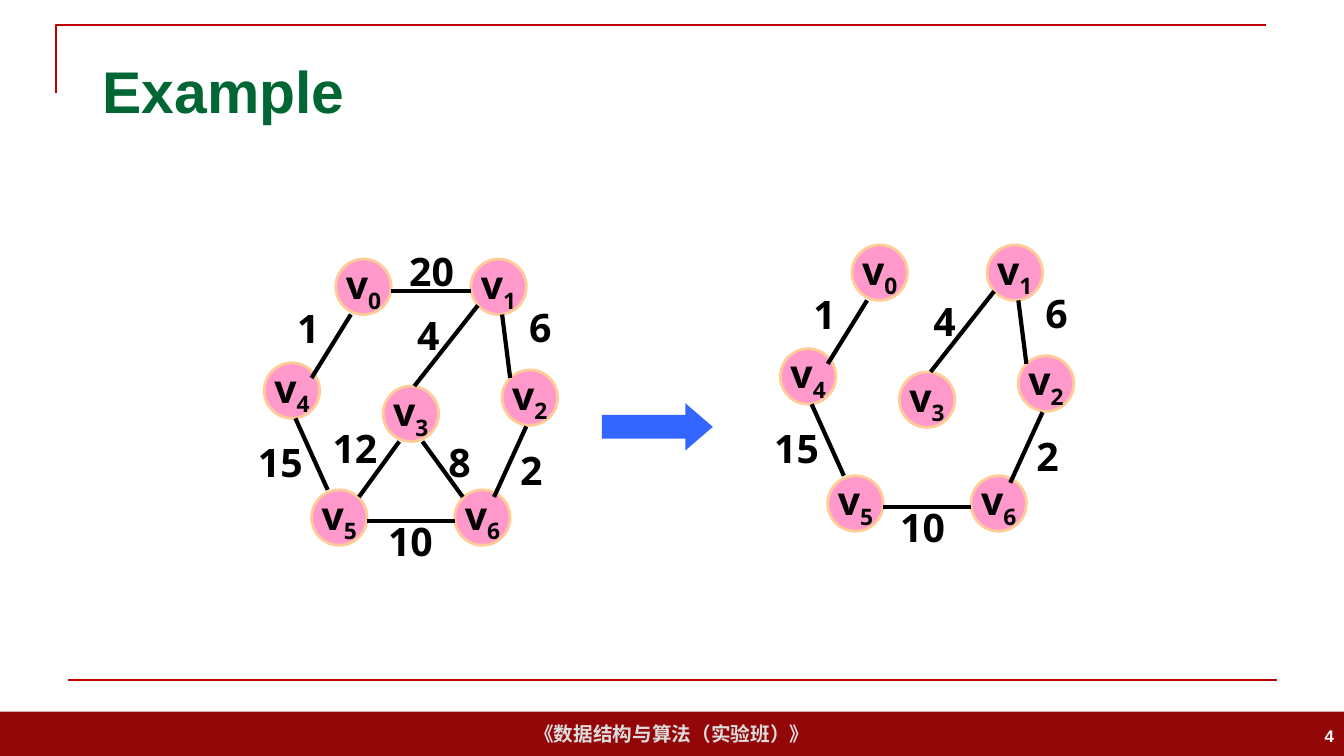
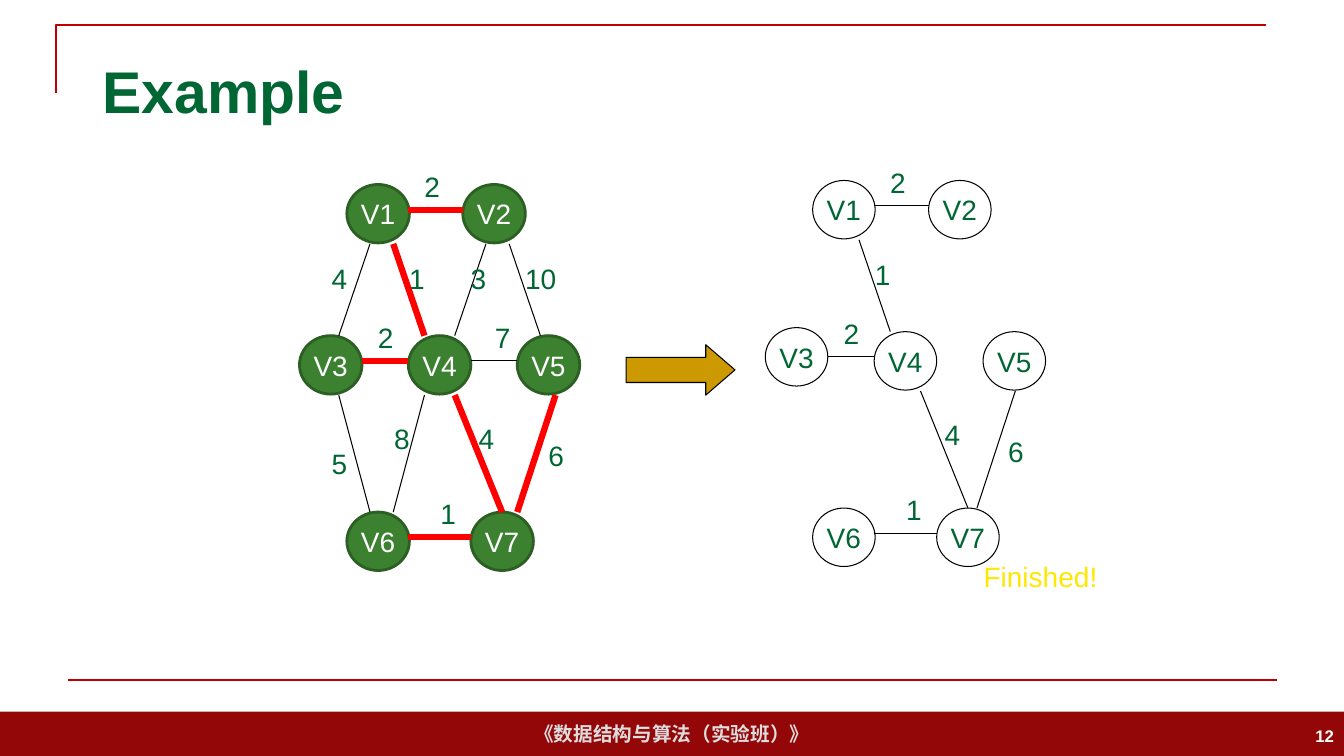
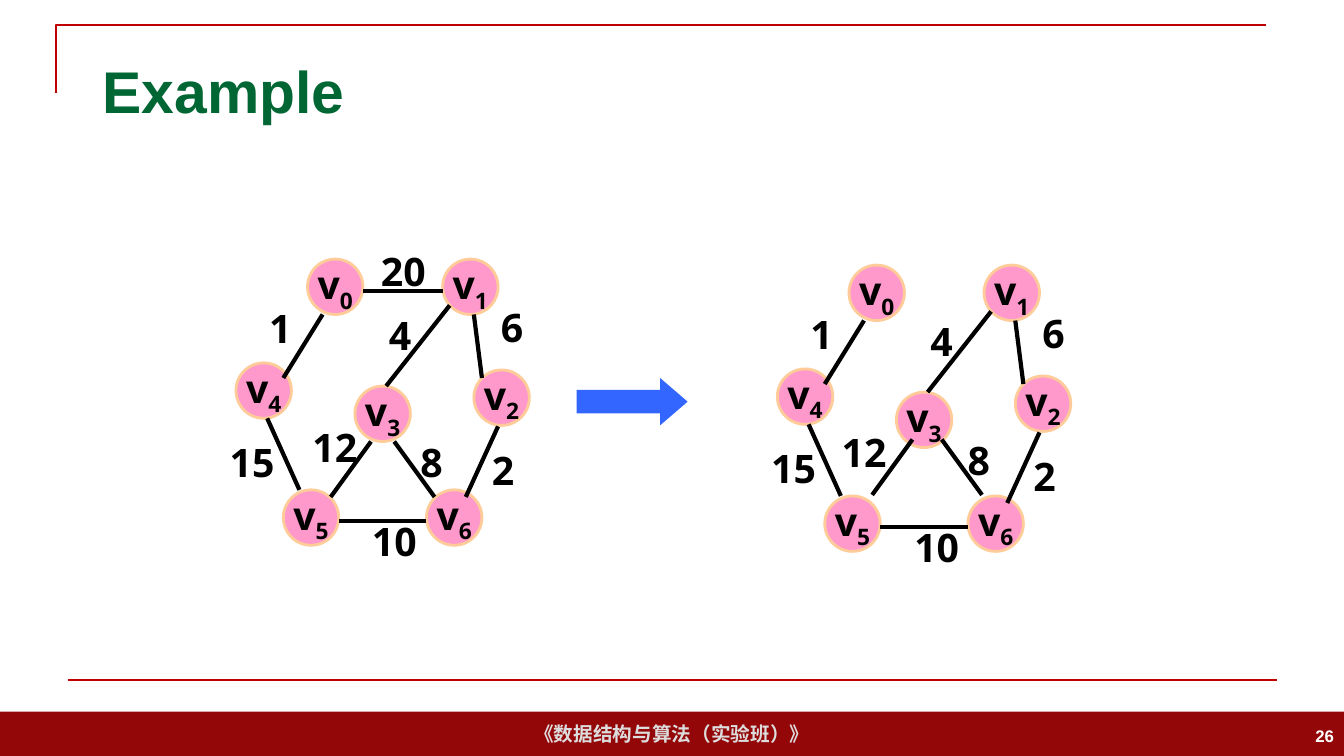
import pptx
import pptx.util
import pptx.dml.color
import pptx.enum.shapes
import pptx.enum.text
import pptx.oxml.ns

WIDE, HIGH = 13.33, 7.5
RED, GREEN, BLACK, WHITE = "C00000", "006633", "000000", "FFFFFF"
FORMS = pptx.enum.shapes.MSO_SHAPE
ALIGN = pptx.enum.text.PP_ALIGN
MIDDLE = pptx.enum.text.MSO_ANCHOR.MIDDLE
FIT = pptx.enum.text.MSO_AUTO_SIZE.SHAPE_TO_FIT_TEXT

PINK = {
    "size": (0.55, 0.55),
    "digit": (0.26, 0.57),
    "nodes": {"0": (0.71, 0), "1": (2.05, 0), "2": (2.36, 1.1), "3": (1.18, 1.26),
              "4": (0, 1.03), "5": (0.47, 2.29), "6": (1.89, 2.29)},
    "edges": {
        "04": (0.86, 0.55, 0.47, 1.18, "1", 0.23, 0.4),
        "12": (2.36, 0.55, 2.44, 1.18, "6", 2.53, 0.39),
        "45": (0.63, 2.29, 0.31, 1.58, "15", -0.16, 1.73),
        "01": (2.05, 0.32, 1.26, 0.32, "20", 1.34, -0.17),
        "26": (2.6, 1.66, 2.28, 2.36, "2", 2.44, 1.81),
        "56": (1.89, 2.6, 1.02, 2.6, "10", 1.13, 2.51),
        "35": (1.34, 1.81, 0.94, 2.36, "12", 0.58, 1.59),
        "36": (1.57, 1.81, 1.97, 2.36, "8", 1.73, 1.73),
        "13": (2.12, 0.46, 1.49, 1.26, "4", 1.42, 0.47),
    },
    "node": {"fill": "FF99CC", "line": "FFCC99", "weight": 2},
    "name": {"lead": "v", "sub": True},
    "font": {"size": 28, "font": "Open Sans", "bold": True},
    "ink": BLACK,
    "weight": 3,
}
OVAL = {
    "size": (0.62, 0.58),
    "digit": (0.17, 0.44),
    "nodes": {"1": (0.47, 0), "2": (1.62, 0), "3": (0, 1.5), "4": (1.08, 1.5),
              "5": (2.16, 1.5), "6": (0.47, 3.25), "7": (1.7, 3.25)},
    "edges": {
        "12": (1.08, 0.25, 1.62, 0.25, "2", 1.14, -0.2),
        "34": (0.62, 1.75, 1.08, 1.75, "2", 0.68, 1.3),
        "45": (1.7, 1.75, 2.16, 1.75, "7", 1.84, 1.3),
        "67": (1.08, 3.5, 1.7, 3.5, "1", 1.3, 3.05),
        "13": (0.39, 1.5, 0.7, 0.59, "4", 0.22, 0.72),
        "25": (2.39, 1.5, 2.08, 0.59, "10", 2.14, 0.72),
        "14": (1.24, 1.5, 0.93, 0.59, "1", 0.99, 0.72),
        "24": (1.54, 1.5, 1.85, 0.59, "3", 1.6, 0.72),
        "46": (1.24, 2.09, 0.93, 3.25, "8", 0.84, 2.3),
        "47": (1.54, 2.09, 2.01, 3.25, "4", 1.68, 2.3),
        "36": (0.39, 2.09, 0.7, 3.25, "5", 0.22, 2.55),
        "57": (2.54, 2.09, 2.16, 3.25, "6", 2.37, 2.47),
    },
    "node": {"line": BLACK, "weight": 0.75},
    "name": {"lead": "V", "sub": False},
    "font": {"size": 20},
    "ink": GREEN,
    "weight": 0.75,
}
LEAF = {**OVAL, "node": {"fill": "3B812F", "line": "2C5F23", "weight": 2}}
TREE = ("12", "34", "67", "14", "47", "57")
CYCLE = ("04", "12", "45", "26", "56", "13")


def inch(*nums):
    return [pptx.util.Inches(num) for num in nums]


def tint(code):
    return pptx.dml.color.RGBColor.from_string(code)


def paint(shape, fill=None, line=None, weight=1):
    shape.shadow.inherit = False
    if fill:
        shape.fill.solid()
        shape.fill.fore_color.rgb = tint(fill)
    else:
        shape.fill.background()
    if line:
        shape.line.color.rgb = tint(line)
        shape.line.width = pptx.util.Pt(weight)
    else:
        shape.line.fill.background()
    return shape


def write(shape, text, size=20, color=BLACK, font="Arial", bold=False,
          align=ALIGN.LEFT, wrap=False, mid=False, fit=False, sub=""):
    frame = shape.text_frame
    frame.word_wrap = wrap
    if mid:
        frame.vertical_anchor = MIDDLE
    if fit:
        frame.auto_size = FIT
    para = frame.paragraphs[0]
    para.alignment = align
    for part in filter(None, (text, sub)):
        run = para.add_run()
        run.text = part
        run.font.size = pptx.util.Pt(size)
        run.font.name = font
        run.font.bold = bold
        run.font.color.rgb = tint(color)
    if sub:
        run.font._element.set("baseline", "-25000")


def box(slide, area, text, **style):
    write(slide.shapes.add_textbox(*inch(*area)), text, **style)


def form(slide, kind, area, **look):
    return paint(slide.shapes.add_shape(kind, *inch(*area)), **look)


def rule(slide, ends, color, weight):
    line = slide.shapes.add_connector(
        pptx.enum.shapes.MSO_CONNECTOR.STRAIGHT, *inch(*ends))
    line.line.color.rgb = tint(color)
    line.line.width = pptx.util.Pt(weight)
    props = line._element.spPr
    props.append(props.makeelement(pptx.oxml.ns.qn("a:effectLst"), {}))


def arrow(slide, area, **look):
    shape = form(slide, FORMS.RIGHT_ARROW, area, **look)
    shape.adjustments[0] = 0.5
    shape.adjustments[1] = 0.58


def page(deck, number):
    slide = deck.slides.add_slide(deck.slide_layouts[6])
    band = form(slide, FORMS.RECTANGLE, (0, HIGH - 0.44, WIDE, 0.44), fill="940709")
    write(band, "《数据结构与算法（实验班）》", size=14, color="DDDDDD", bold=True,
          align=ALIGN.CENTER, mid=True)
    pen = slide.shapes.build_freeform(*inch(0.56, 0.92))
    pen.add_line_segments([inch(0.56, 0.25), inch(12.56, 0.25)], close=False)
    paint(pen.convert_to_shape(), line=RED, weight=1.5)
    rule(slide, (0.67, 6.75, 12.67, 6.75), RED, 1.5)
    box(slide, (0.92, 0.4, 11.5, 0.99), "Example", size=42, color=GREEN,
        bold=True, wrap=True, mid=True)
    box(slide, (WIDE - 3, 7.1, 3, 0.4), str(number), size=12, color=WHITE,
        bold=True, align=ALIGN.RIGHT, wrap=True, mid=True)
    return slide


def graph(slide, kind, left, top, keep=None, marked=(), ink=None, shift=None):
    shift = shift or {}
    lead = kind["name"]["lead"]
    low = kind["name"]["sub"]
    for name, (x, y) in kind["nodes"].items():
        dx, dy = shift.get(name, (0, 0))
        oval = form(slide, FORMS.OVAL, (left + x + dx, top + y + dy, *kind["size"]),
                    **kind["node"])
        write(oval, lead if low else lead + name, sub=name if low else "",
              color=ink or kind["ink"], align=ALIGN.CENTER, mid=True, **kind["font"])
    edges = {key: edge for key, edge in kind["edges"].items() if not keep or key in keep}
    for key, (x1, y1, x2, y2, *_) in edges.items():
        dx, dy = shift.get(key, (0, 0))
        ends = (left + x1 + dx, top + y1 + dy, left + x2 + dx, top + y2 + dy)
        color, weight = ("FF0000", 4.5) if key in marked else (BLACK, kind["weight"])
        rule(slide, ends, color, weight)
    step, tall = kind["digit"]
    for key, (*_, cost, x, y) in edges.items():
        dx, dy = shift.get("cost" + key, shift.get(key, (0, 0)))
        box(slide, (left + x + dx, top + y + dy, 0.2 + step * len(cost), tall), cost,
            color=kind["ink"], fit=True, **kind["font"])


def main():
    deck = pptx.Presentation()
    deck.slide_width, deck.slide_height = inch(WIDE, HIGH)

    slide = page(deck, 4)
    arrow(slide, (5.97, 4, 1.1, 0.47), fill="3366FF")
    graph(slide, PINK, 2.62, 2.57)
    graph(slide, PINK, 7.74, 2.43, keep=CYCLE, shift={"cost56": (-0.04, 0)})

    slide = page(deck, 12)
    graph(slide, LEAF, 2.97, 1.83, marked=TREE, ink=WHITE)
    graph(slide, OVAL, 7.59, 1.79, keep=TREE,
          shift={"3": (0, -0.04), "57": (-0.06, 0)})
    arrow(slide, (6.21, 3.42, 1.08, 0.5), fill="CC9900", line=BLACK, weight=0.75)
    box(slide, (9.59, 5.5, 1.46, 0.58), "Finished!", color="FFE701", align=ALIGN.CENTER)

    slide = page(deck, 26)
    arrow(slide, (5.72, 3.75, 1.1, 0.47), fill="3366FF")
    graph(slide, PINK, 2.34, 2.57, shift={"cost56": (0.12, 0), "cost35": (0.08, -0.01)})
    graph(slide, PINK, 7.71, 2.63, keep=CYCLE + ("35", "36"),
          shift={"cost56": (0.13, 0), "35": (0, -0.08), "36": (0.06, -0.08),
                 "cost35": (-0.04, -0.02)})
    deck.save("out.pptx")


if __name__ == "__main__":
    main()
